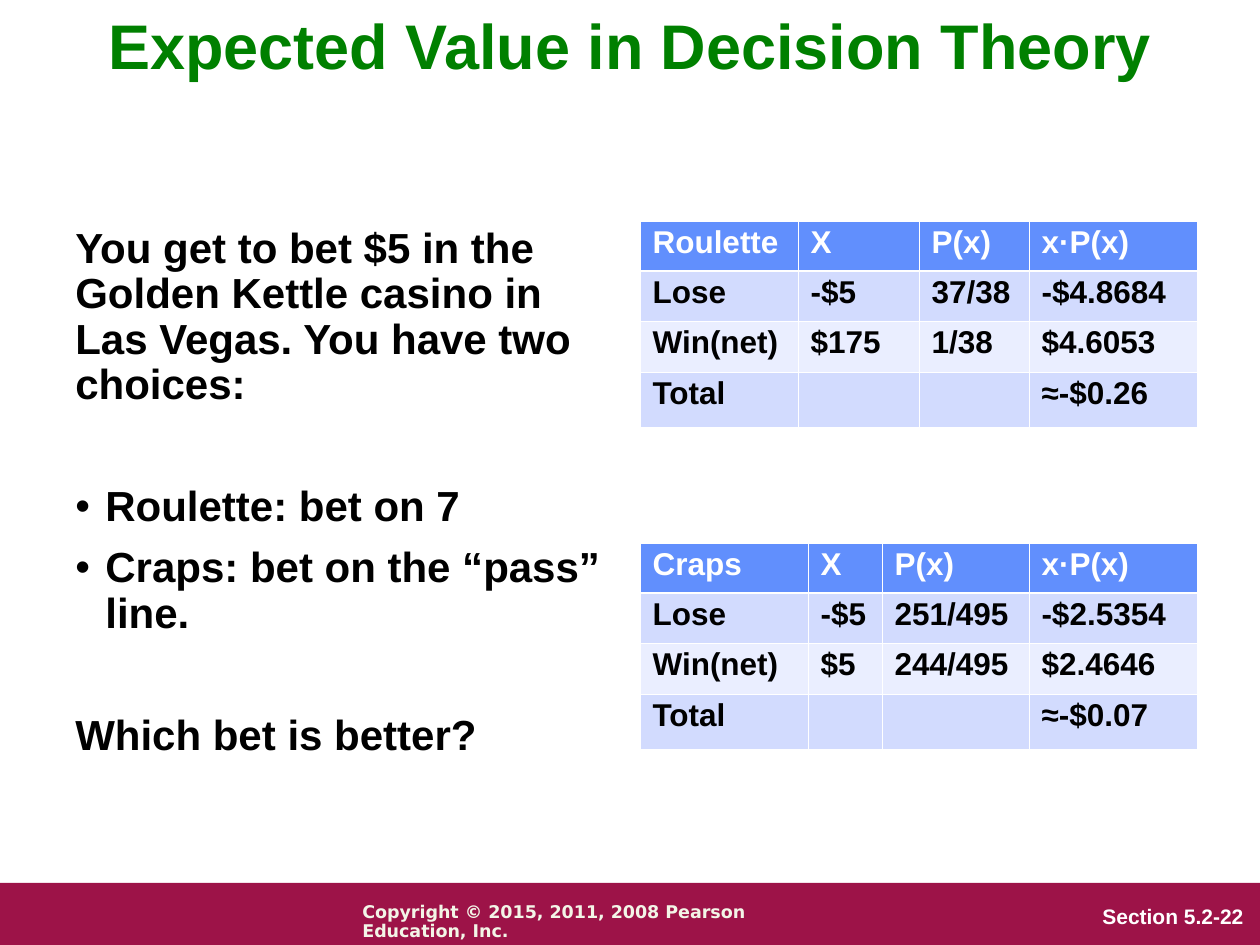
"""Build the slide comparing the expected values of two casino bets."""
from pptx import Presentation
from pptx.dml.color import RGBColor
from pptx.enum.shapes import MSO_SHAPE as Shape
from pptx.enum.text import MSO_ANCHOR as Anchor, MSO_AUTO_SIZE as AutoSize, PP_ALIGN as Align
from pptx.oxml.ns import qn
from pptx.util import Pt
from lxml.etree import SubElement

PX = 914400 / 126
THEME = {
    "title": {"size": 36, "color": "008000", "font": "Arial"},
    "body": {"size": 24, "color": "000000", "font": "Arial"},
    "header": {"size": 18, "color": "FFFFFF", "font": "Arial"},
    "cell": {"size": 18, "color": "000000", "font": "Arial"},
    "section": {"size": 12, "color": "FFFFFF", "font": "Arial"},
    "copyright": {"size": 10, "color": "F3F5E7", "font": "DejaVu Sans"},
    "footer": "9D1348",
    "row_fills": ["618FFD", "D2DBFE", "EAEEFF", "D2DBFE"],
    "border": "FFFFFF",
}

TITLE = "Expected Value in Decision Theory"
BODY = [
    {"text": "You get to bet $5 in the Golden Kettle casino in Las Vegas. You have two choices:"},
    {"text": "Roulette: bet on 7", "before": 44, "bullet": True},
    {"text": "Craps: bet on the “pass” line.", "before": 9, "bullet": True},
    {"text": "Which bet is better?", "before": 44},
]
TABLES = [
    {"top": 221, "cols": [158, 121, 110, 168], "rows": [
        ["Roulette", "X", "P(x)", "x·P(x)"],
        ["Lose", "-$5", "37/38", "-$4.8684"],
        ["Win(net)", "$175", "1/38", "$4.6053"],
        ["Total", "", "", "≈-$0.26"]]},
    {"top": 543, "cols": [168, 74, 147, 168], "rows": [
        ["Craps", "X", "P(x)", "x·P(x)"],
        ["Lose", "-$5", "251/495", "-$2.5354"],
        ["Win(net)", "$5", "244/495", "$2.4646"],
        ["Total", "", "", "≈-$0.07"]]},
]
TABLE_LEFT = 640
ROW_HEIGHTS = [50, 50, 51, 55]
BULLET_INDENT = 30
FOOTERS = [
    ("section", "Section 5.2-22", (1090, 900, 168, 33)),
    ("copyright", "Copyright © 2015, 2011, 2008 Pearson Education, Inc.", (350, 897, 481, 32)),
]


def px(n):
    return round(n * PX)


def box(*sizes):
    return [px(n) for n in sizes]


def set_attrs(obj, values):
    for name, value in values.items():
        setattr(obj, name, value)


def write(p, text, style, spacing=0.9):
    look = THEME[style]
    p.line_spacing = spacing
    r = p.add_run()
    r.text = text
    set_attrs(r.font, {"size": Pt(look["size"]), "name": look["font"], "bold": True})
    r.font.color.rgb = RGBColor.from_string(look["color"])


def prepare(tf):
    set_attrs(tf, {"word_wrap": True, "auto_size": AutoSize.NONE, "vertical_anchor": Anchor.TOP})
    return tf


def add_bullet(p):
    ppr = p._p.get_or_add_pPr()
    ppr.set("marL", str(px(BULLET_INDENT)))
    ppr.set("indent", str(-px(BULLET_INDENT)))
    SubElement(ppr, qn("a:buFont"), typeface="Arial")
    SubElement(ppr, qn("a:buChar"), char="•")


def add_borders(cell, widths):
    tcpr = cell._tc.get_or_add_tcPr()
    for side, width in widths.items():
        ln = SubElement(tcpr, qn("a:" + side), w=str(Pt(width)))
        SubElement(SubElement(ln, qn("a:solidFill")), qn("a:srgbClr"), val=THEME["border"])


def add_bet_table(s, top, cols, rows):
    frame = s.shapes.add_table(len(rows), len(cols),
                               *box(TABLE_LEFT, top, sum(cols), sum(ROW_HEIGHTS)))
    table = frame.table
    for col, width in zip(table.columns, cols):
        col.width = px(width)
    for i, (row, height) in enumerate(zip(table.rows, ROW_HEIGHTS)):
        row.height = px(height)
        for cell, text in zip(row.cells, rows[i]):
            add_borders(cell, {"lnL": 0.23, "lnR": 0.23, "lnT": 0.75 if i == 1 else 0.23,
                               "lnB": 0.75 if i == 0 else 0.23})
            cell.fill.solid()
            cell.fill.fore_color.rgb = RGBColor.from_string(THEME["row_fills"][i])
            if text:
                write(cell.text_frame.paragraphs[0], text, "cell" if i else "header", 0.93)


def main():
    prs = Presentation()
    prs.slide_width, prs.slide_height = box(1260, 945)
    s = prs.slides.add_slide(prs.slide_layouts[5])

    title = s.shapes.title
    set_attrs(title, dict(zip(("left", "top", "width", "height"), box(63, 9, 1134, 157))))
    p = prepare(title.text_frame).paragraphs[0]
    p.alignment = Align.CENTER
    write(p, TITLE, "title")

    bar = s.shapes.add_shape(Shape.RECTANGLE, *box(0, 883, 1260, 62))
    bar.shadow.inherit = False
    bar.fill.solid()
    bar.fill.fore_color.rgb = RGBColor.from_string(THEME["footer"])
    bar.line.fill.background()

    for style, text, place in FOOTERS:
        tf = prepare(s.shapes.add_textbox(*box(*place)).text_frame)
        write(tf.paragraphs[0], text, style)

    tf = prepare(s.shapes.add_textbox(*box(63, 221, 557, 624)).text_frame)
    for i, item in enumerate(BODY):
        p = tf.add_paragraph() if i else tf.paragraphs[0]
        if item.get("bullet"):
            add_bullet(p)
        if "before" in item:
            p.space_before = Pt(item["before"])
        write(p, item["text"], "body")

    for bet in TABLES:
        add_bet_table(s, **bet)
    prs.save("out.pptx")


if __name__ == "__main__":
    main()
